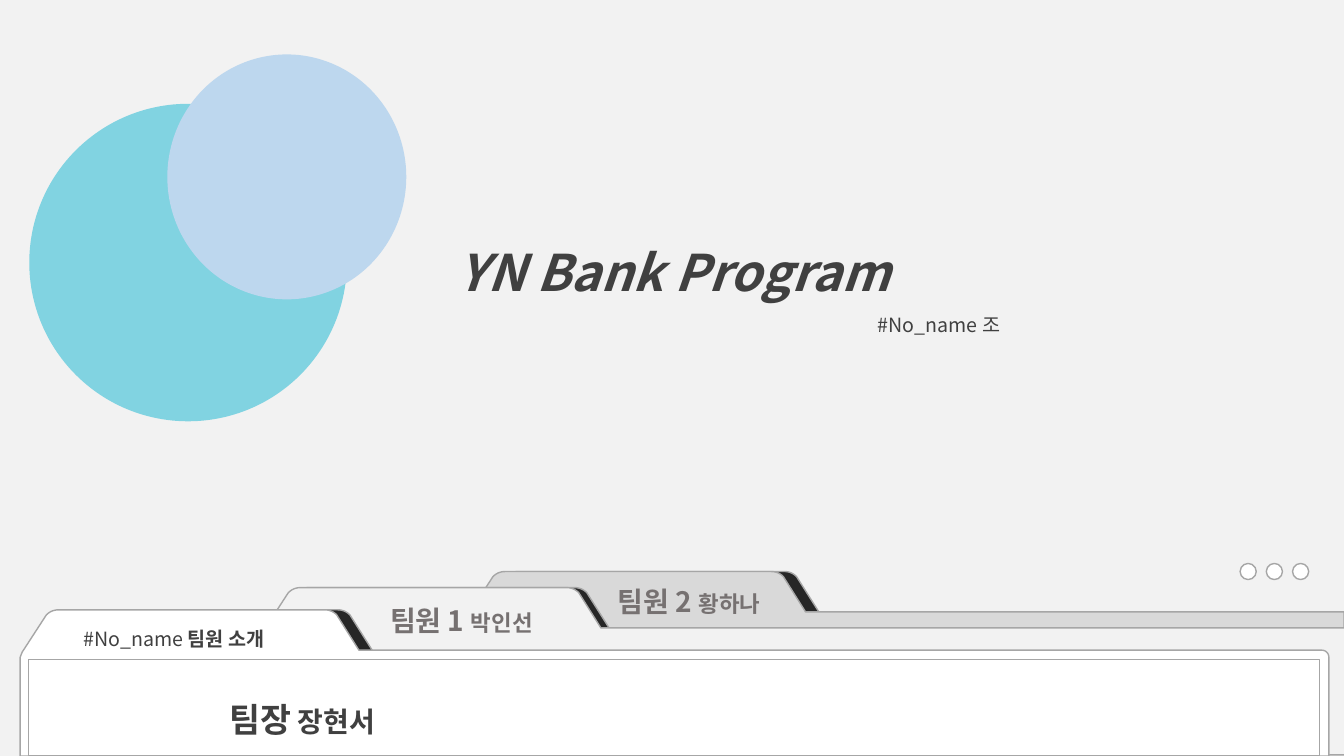
from pptx import Presentation
from pptx import util as u
from pptx.dml.color import RGBColor
from pptx.enum import shapes, text
from pptx.oxml.ns import qn
from lxml import etree

W, H = 13.33, 7.5
FONT = "Noto Sans CJK KR"
BG, DARK, GREY, EDGE = "F2F2F2", "404040", "767171", "A6A6A6"
WHITE, SHADE = "FFFFFF", "262626"

# Folders from back to front
FOLDERS = [
    dict(x=5.01, y=5.67, shade=0.13, right=W, bottom=7.12, fill="D9D9D9", corner=0),
    dict(x=2.98, y=5.83, shade=0.08, right=13.38, bottom=7.49, fill=BG, corner=0),
    dict(x=0.58, y=6.05, shade=0.13, right=13.18, bottom=H, fill=WHITE, corner=0.07),
]

# Paragraphs: (alignment, line spacing, [(words, format), ...])
TITLE = [
    ("CENTER", 1.5, [("YN Bank Program", dict(size=36, bold=True, italic=True))]),
    ("RIGHT", 1.5, [("#No_name 조", dict(size=14, bold=False, italic=False))]),
]
LABELS = [
    ((0.51, 6.05, 2.43, 0.45), True, DARK,
     [("CENTER", 1.5, [("#No_name ", dict(size=14)),
                       ("팀원 소개", dict(size=14, bold=True))])]),
    ((2.18, 6.68, 2.81, 0.71), True, DARK,
     [("LEFT", 1.5, [("팀장", dict(size=24, bold=True)),
                     (" 장현서", dict(size=20, bold=True))])]),
]
for number, name, x, y in [(1, "박인선", 3.77, 5.94), (2, "황하나", 6.03, 5.75)]:
    LABELS.append(((x, y, 1.8, 0.44), False, GREY,
                   [("LEFT", 1, [(f"팀원 {number} ", dict(size=20, bold=True)),
                                 (name, dict(size=16, bold=True))])]))

DOT, DOT_STEP = 0.16, 0.26
CIRCLES = [((12.3 + i * DOT_STEP, 5.59, DOT, DOT), WHITE, EDGE) for i in range(3)]
CIRCLES += [((0.29, 1.03, 3.15, 3.15), "81D3E1", None),
            ((1.66, 0.54, 2.37, 2.43), "BDD7EE", None)]

# Top of a tab: flat edge with a rounded shoulder on each side
TAB = 2.64
SHOULDER = [(TAB, 0), (TAB + 0.05, 0), (TAB + 0.09, 0.02), (TAB + 0.12, 0.05)]


def bezier(pts, steps=8):
    curve = []
    for i in range(steps + 1):
        t = i / steps
        k = ((1 - t) ** 3, 3 * t * (1 - t) ** 2, 3 * t * t * (1 - t), t ** 3)
        curve.append(tuple(sum(a * p[n] for a, p in zip(k, pts)) for n in (0, 1)))
    return curve


RIGHT_SIDE = bezier(SHOULDER)
CROWN = [(TAB - x, y) for x, y in reversed(RIGHT_SIDE)] + RIGHT_SIDE


def rgb(value):
    return RGBColor.from_string(value)


def paint(sp, fill=None, line=None):
    sp.shadow.inherit = False
    if fill:
        sp.fill.solid()
        sp.fill.fore_color.rgb = rgb(fill)
    else:
        sp.fill.background()
    if line:
        sp.line.color.rgb = rgb(line)
        sp.line.width = u.Pt(1)
    else:
        sp.line.fill.background()


def outline(pts, fill):
    emu = [(u.Inches(x), u.Inches(y)) for x, y in pts]
    builder = s.shapes.build_freeform(*emu[0])
    builder.add_line_segments(emu[1:], close=True)
    paint(builder.convert_to_shape(), fill, EDGE)


def write(tf, paragraphs, color):
    for i, (align, spacing, runs) in enumerate(paragraphs):
        p = tf.paragraphs[0] if i == 0 else tf.add_paragraph()
        p.alignment = getattr(text.PP_ALIGN, align)
        p.line_spacing = spacing
        for words, fmt in runs:
            r = p.add_run()
            r.text = words
            r.font.name = FONT
            r.font.color.rgb = rgb(color)
            for key, value in fmt.items():
                setattr(r.font, key, u.Pt(value) if key == "size" else value)
            east = etree.SubElement(r.font._element, qn("a:ea"))
            east.set("typeface", FONT)


def box(at):
    return [u.Inches(v) for v in at]


prs = Presentation()
prs.slide_width, prs.slide_height = u.Inches(W), u.Inches(H)
s = prs.slides.add_slide(prs.slide_layouts[5])
s.background.fill.solid()
s.background.fill.fore_color.rgb = rgb(BG)

# Title
title = s.shapes.title
title.left, title.top, title.width, title.height = box((3.35, 2.04, 6.67, 1.36))
tf = title.text_frame
tf.word_wrap = True
tf.auto_size = text.MSO_AUTO_SIZE.NONE
tf.vertical_anchor = text.MSO_ANCHOR.TOP
write(tf, TITLE, DARK)

# Folders, each with the dark edge behind its tab
for f in FOLDERS:
    x, y, c = f["x"], f["y"], f["corner"]
    edge = [(-0.37, 0.43)] + CROWN + [(3, 0.43)]
    outline([(x + f["shade"] + dx, y + dy) for dx, dy in edge], SHADE)
    tab = [(x + dx, y + dy) for dx, dy in [(-0.36, 0.42)] + CROWN + [(2.98, 0.4)]]
    end, foot = f["right"], y + 0.4
    corner = bezier([(end - c, foot), (end - c * 0.45, foot),
                     (end, foot + c * 0.45), (end, foot + c)]) if c else [(end, foot)]
    outline([(x - 0.38, f["bottom"]), (x - 0.38, y + 0.47)] + tab + corner
            + [(end, f["bottom"])], f["fill"])

# Page frame
frame = s.shapes.add_shape(shapes.MSO_SHAPE.RECTANGLE, *box((0.28, 6.54, 12.81, 0.96)))
paint(frame, line=EDGE)

# Window dots and large circles
for at, fill, line in CIRCLES:
    paint(s.shapes.add_shape(shapes.MSO_SHAPE.OVAL, *box(at)), fill, line)

# Labels
for at, wrap, color, paragraphs in LABELS:
    tf = s.shapes.add_textbox(*box(at)).text_frame
    tf.word_wrap = wrap
    tf.auto_size = text.MSO_AUTO_SIZE.SHAPE_TO_FIT_TEXT
    write(tf, paragraphs, color)

prs.save("out.pptx")
